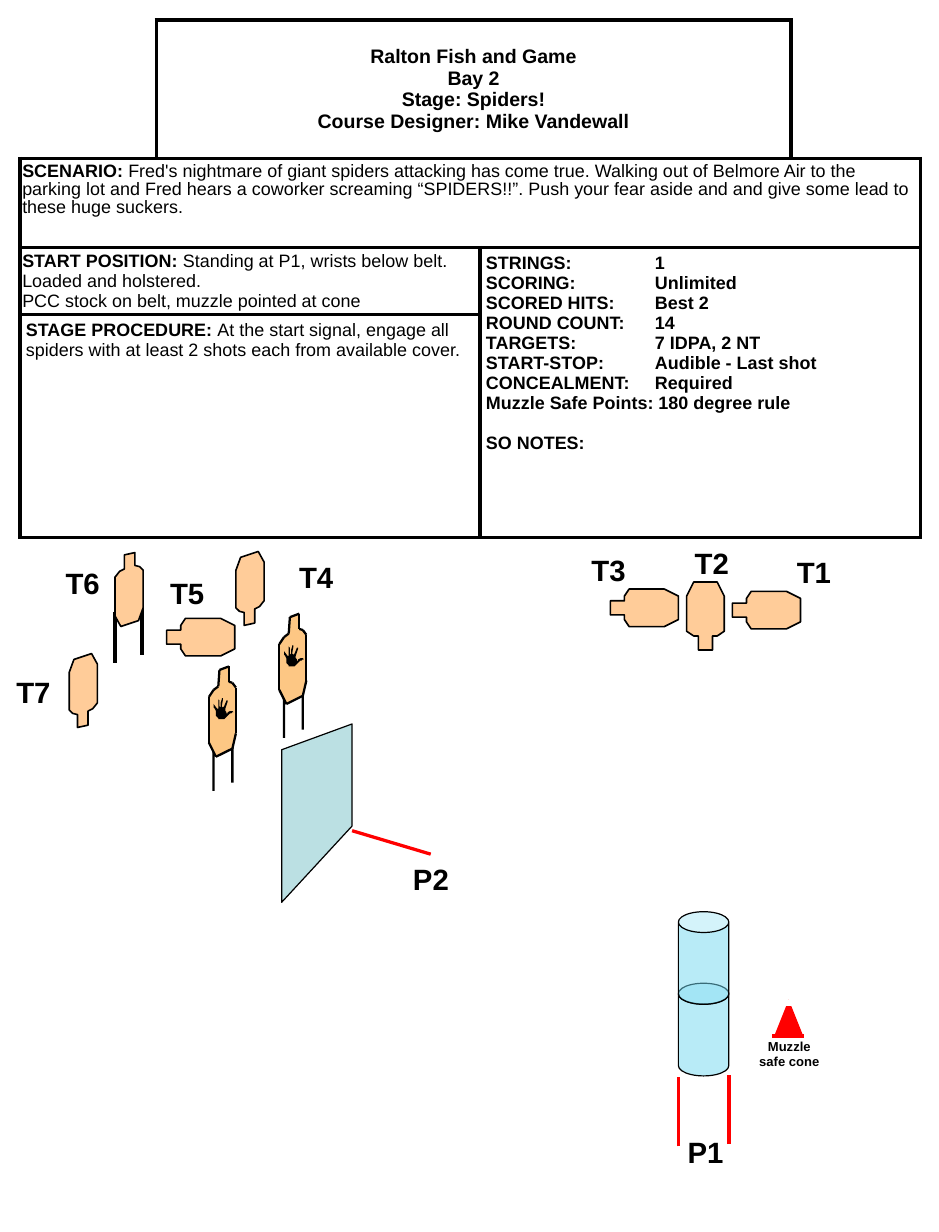
from itertools import pairwise, product
from typing import NamedTuple

from lxml import etree
from pptx import Presentation
from pptx import util as u
from pptx.dml import color
from pptx.enum import shapes, text
from pptx.oxml import ns
from pptx.shapes import shapetree

Shapes = shapetree.SlideShapes | shapetree.GroupShapes
Points = list[tuple[int, int]]

COLORS = {"ink": "000000", "paper": "FFFFFF", "target": "FFCC99", "no_shoot": "FDC784",
          "wall": "BBE0E3", "barrel": "73D9F1", "red": "FF0000"}
FONT = "Arial"
FACING = [(10, 0), (22, 0), (22, 12), (26, 12), (32, 16), (32, 46), (26, 58),
          (6, 58), (0, 46), (0, 16), (6, 12), (10, 12)]
ANGLED = [(8, 2), (17, 0), (17, 11), (21, 12), (24, 15), (24, 47), (20, 58),
          (5, 63), (0, 54), (0, 21), (4, 16), (8, 14)]
NO_SHOOT = [(9, 3), (17, 0), (17, 13), (20, 14), (23, 18), (23, 57), (20, 70),
            (6, 77), (0, 65), (0, 26), (4, 20), (8, 17)]
HAND = [(15, 43), (13, 45), (8, 45), (8, 44), (7, 43), (6, 42), (6, 38), (5, 36), (4, 35),
        (4, 32), (7, 36), (8, 36), (8, 28), (9, 29), (9, 34), (10, 35), (10, 31), (11, 28),
        (11, 27), (12, 27), (12, 28), (11, 34), (12, 35), (13, 34), (15, 29), (16, 29),
        (16, 30), (14, 36), (14, 38), (15, 39), (15, 40), (16, 40), (16, 39), (18, 38),
        (20, 38), (21, 39), (20, 39), (19, 40), (18, 40), (17, 41), (16, 42)]
WALL = [(60, 87), (0, 152), (0, 22), (60, 0)]
CONE = [(12, 0), (24, 30), (0, 30)]
CONE_TIP = [(0, 0), (12, 0), (12, 5), (0, 5)]
CONE_BASE = [(0, 0), (27, 0), (27, 4), (0, 4)]


class Target(NamedTuple):
    outline: Points
    left: float
    top: float
    rotation: int


class Label(NamedTuple):
    caption: str
    left: float
    top: float


class Block(NamedTuple):
    first: tuple[int, int]
    last: tuple[int, int]
    paragraphs: list[tuple[str, str]]
    size: float = 11
    margins: tuple[float, float] = (0.05, 0.05)


TARGETS = [Target(FACING, 5.33, 4.89, 270), Target(FACING, 6.37, 4.91, 270),
           Target(FACING, 5.85, 4.96, 180), Target(FACING, 1.55, 5.14, 270),
           Target(ANGLED, 0.59, 5.57, 180), Target(ANGLED, 2.01, 4.7, 180)]
LABELS = [Label("P1", 5.76, 9.62), Label("P2", 3.42, 7.29), Label("T1", 6.69, 4.67),
          Label("T2", 5.82, 4.6), Label("T3", 4.94, 4.66), Label("T4", 2.45, 4.72),
          Label("T5", 1.35, 4.85), Label("T6", 0.46, 4.77), Label("T7", 0.04, 5.7)]
TITLE = ["Ralton Fish and Game", "Bay 2", "Stage: Spiders!", "Course Designer: Mike Vandewall"]
DETAILS = ["STRINGS:\t1", "SCORING:\tUnlimited", "SCORED HITS:\tBest 2", "ROUND COUNT:\t14",
           "TARGETS:\t7 IDPA, 2 NT", "START-STOP:\tAudible - Last shot",
           "CONCEALMENT:\tRequired", "Muzzle Safe Points: 180 degree rule", "SO NOTES:"]
SCENARIO = ("Fred's nightmare of giant spiders attacking has come true. Walking out of Belmore Air "
            "to the parking lot and Fred hears a coworker screaming “SPIDERS!!”. Push your fear "
            "aside and and give some lead to these huge suckers.")
START = "Standing at P1, wrists below belt. Loaded and holstered."
PROCEDURE = ("At the start signal, engage all spiders with at least 2 shots each from "
             "available cover.")
BLOCKS = [
    Block((0, 1), (0, 2), [(line, "") for line in TITLE], 12),
    Block((1, 0), (1, 3), [("SCENARIO: ", SCENARIO)], margins=(0.02, 0.04)),
    Block((2, 0), (2, 1), [("START POSITION: ", START),
                           ("", "PCC stock on belt, muzzle pointed at cone")], margins=(0.02, 0.03)),
    Block((2, 2), (3, 3), [(line, "") for line in DETAILS]),
    Block((3, 0), (3, 1), [("STAGE PROCEDURE: ", PROCEDURE)]),
]


def rgb(name: str) -> color.RGBColor:
    return color.RGBColor.from_string(COLORS[name])


def style_font(font, size: float, bold: bool) -> None:
    font.name, font.size, font.bold = FONT, u.Pt(size), bold
    font.color.rgb = rgb("ink")


def paint(shape, fill: str, line_width: float = 0) -> None:
    shape.shadow.inherit = False
    shape.fill.solid()
    shape.fill.fore_color.rgb = rgb(fill)
    if line_width:
        shape.line.color.rgb, shape.line.width = rgb("ink"), u.Pt(line_width)
    else:
        shape.line.fill.background()


def draw_outline(tree: Shapes, points: Points, left: float, top: float, fill: str,
                 line_width: float = 0, rotation: int = 0) -> None:
    builder = tree.build_freeform(*points[0], scale=u.Inches(0.01))
    builder.add_line_segments(points[1:], close=True)
    shape = builder.convert_to_shape(u.Inches(left), u.Inches(top))
    paint(shape, fill, line_width)
    shape.rotation = rotation


def draw_line(tree: Shapes, start: tuple[float, float], end: tuple[float, float],
              line_color: str, width: float) -> None:
    ends = [u.Inches(value) for value in (*start, *end)]
    connector = tree.add_connector(shapes.MSO_CONNECTOR.STRAIGHT, *ends)
    connector.line.color.rgb, connector.line.width = rgb(line_color), u.Pt(width)
    etree.SubElement(connector._element.spPr, ns.qn("a:effectLst"))


def draw_no_shoot(tree: Shapes, left: float, top: float) -> None:
    group = tree.add_group_shape().shapes
    for x, y in ((0.19, 0.52), (0.03, 0.59)):
        leg = group.add_shape(shapes.MSO_SHAPE.RECTANGLE, u.Inches(left + x),
                              u.Inches(top + y), u.Inches(0.02), u.Inches(0.47))
        paint(leg, "ink")
    draw_outline(group, NO_SHOOT, left, top, "no_shoot")
    corners = [(left + x / 100, top + y / 100) for x, y in NO_SHOOT + NO_SHOOT[:1]]
    for start, end in pairwise(corners):
        draw_line(group, start, end, "ink", 1.13 if start[0] == end[0] else 1.38)
    draw_outline(group, HAND, left, top, "ink")


def draw_barrels(tree: Shapes) -> None:
    group = tree.add_group_shape().shapes
    for top in (8.38, 7.77):
        barrel = group.add_shape(shapes.MSO_SHAPE.CAN, u.Inches(5.78), u.Inches(top),
                                 u.Inches(0.43), u.Inches(0.79))
        barrel.adjustments[0] = 0.413
        paint(barrel, "barrel", 0.75)
        fill = barrel._element.spPr.find(".//" + ns.qn("a:srgbClr"))
        etree.SubElement(fill, ns.qn("a:alpha"), val="50000")


def draw_label(tree: Shapes, label: Label, width: float, height: float, size: float,
               alignment: text.PP_ALIGN = text.PP_ALIGN.LEFT) -> None:
    box = tree.add_textbox(*map(u.Inches, (label.left, label.top, width, height)))
    frame = box.text_frame
    frame.word_wrap = True
    frame.auto_size = text.MSO_AUTO_SIZE.SHAPE_TO_FIT_TEXT
    frame.text = label.caption
    frame.paragraphs[0].alignment = alignment
    style_font(frame.paragraphs[0].runs[0].font, size, True)


def draw_cone(tree: Shapes) -> None:
    group = tree.add_group_shape().shapes
    draw_outline(group, CONE, 6.6, 8.52, "red")
    draw_outline(group, CONE_TIP, 6.66, 8.52, "paper")
    draw_outline(group, CONE_BASE, 6.58, 8.81, "red")
    draw_label(group, Label("Muzzle safe cone", 6.35, 8.8), 0.75, 0.36, 8, text.PP_ALIGN.CENTER)


def set_borders(cell, visible: str) -> None:
    for index, side in enumerate("LRTB"):
        line = etree.Element(ns.qn(f"a:ln{side}"), w=str(u.Pt(2.25)))
        fill = etree.SubElement(line, ns.qn("a:solidFill" if side in visible else "a:noFill"))
        if side in visible:
            etree.SubElement(fill, ns.qn("a:srgbClr"), val=COLORS["ink"])
        cell._tc.get_or_add_tcPr().insert(index, line)


def fill_block(table, block: Block) -> None:
    cell = table.cell(*block.first)
    cell.merge(table.cell(*block.last))
    cell.margin_left = cell.margin_right = u.Inches(block.margins[0])
    cell.margin_top = cell.margin_bottom = u.Inches(block.margins[1])
    for index, (heading, body) in enumerate(block.paragraphs):
        frame = cell.text_frame
        paragraph = frame.add_paragraph() if index else frame.paragraphs[0]
        for caption, bold in ((heading, True), (body, False)):
            if caption:
                run = paragraph.add_run()
                run.text = caption
                style_font(run.font, block.size, bold)


def draw_stage_table(tree: Shapes) -> None:
    table = tree.add_table(4, 4, *map(u.Inches, (0.17, 0.17, 7.67, 4.33))).table
    table.first_row = table.horz_banding = False
    for column, width in zip(table.columns, (1.16, 2.76, 2.65, 1.1)):
        column.width = u.Inches(width)
    for row, height in zip(table.rows, (1.18, 0.76, 0.49, 1.9)):
        row.height = u.Inches(height)
    for block in BLOCKS:
        fill_block(table, block)
    for position in product(range(4), repeat=2):
        cell = table.cell(*position)
        cell.fill.solid()
        cell.fill.fore_color.rgb = rgb("paper")
        set_borders(cell, {(0, 0): "RB", (0, 3): "LB"}.get(position, "LRTB"))
    table.cell(0, 1).vertical_anchor = text.MSO_ANCHOR.MIDDLE
    for paragraph in table.cell(0, 1).text_frame.paragraphs:
        paragraph.alignment = text.PP_ALIGN.CENTER
    table.cell(1, 0).text_frame.paragraphs[0].line_spacing = 0.9
    details = table.cell(2, 2).text_frame.paragraphs
    details[-1].space_before = u.Pt(12.6)
    for paragraph in details[:7]:
        tabs = etree.SubElement(paragraph._p.get_or_add_pPr(), ns.qn("a:tabLst"))
        etree.SubElement(tabs, ns.qn("a:tab"), pos=str(u.Inches(1.44)), algn="l")


def draw_stage(tree: Shapes) -> None:
    draw_stage_table(tree)
    draw_line(tree, (3.67, 7.28), (3, 7.08), "red", 2)
    draw_outline(tree, WALL, 2.4, 6.17, "wall", 0.75)
    draw_no_shoot(tree, 2.38, 5.23)
    draw_barrels(tree)
    for x, top in ((6.21, 9.16), (5.78, 9.18)):
        draw_line(tree, (x, top + 0.59), (x, top), "red", 2)
    for target in TARGETS:
        draw_outline(tree, target.outline, target.left, target.top, "target", 1, target.rotation)
    draw_no_shoot(tree, 1.78, 5.68)
    stand = tree.add_group_shape().shapes
    for x, top in ((0.98, 5.22), (1.21, 5.15)):
        draw_line(stand, (x, top), (x, top + 0.43), "ink", 2.25)
    draw_outline(stand, ANGLED, 0.98, 4.71, "target", 1)
    draw_cone(tree)
    for label in LABELS:
        draw_label(tree, label, 0.58, 0.4, 18)


presentation = Presentation()
presentation.slide_width, presentation.slide_height = u.Inches(8), u.Inches(10.5)
draw_stage(presentation.slides.add_slide(presentation.slide_layouts[6]).shapes)
presentation.save("out.pptx")
